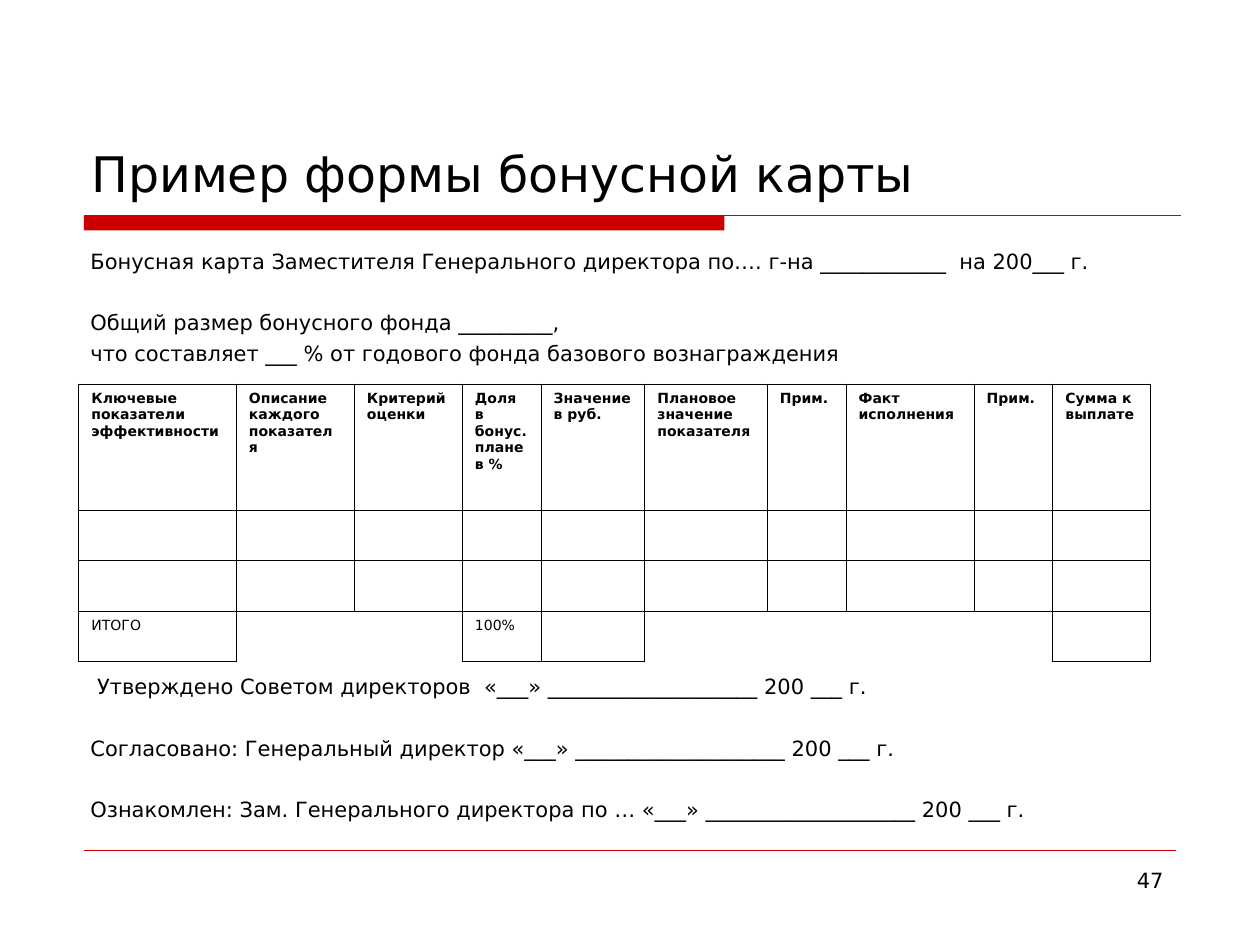
from pptx import Presentation
from pptx.dml.color import RGBColor
from pptx.enum.shapes import MSO_CONNECTOR, MSO_SHAPE
from pptx.enum.text import MSO_ANCHOR, MSO_AUTO_SIZE, PP_ALIGN
from pptx.oxml.ns import qn
from pptx.util import Pt
from lxml.etree import SubElement, Element

COLORS = {"red": "CC0000", "black": "000000", "white": "FFFFFF"}
FONT = "DejaVu Sans"
LINE_GAP = 3.3
BLANK_GAP = 20.6

INTRO = [
    ("Бонусная карта Заместителя Генерального директора по…. г-на ____________  на 200___ г.", 0),
    ("Общий размер бонусного фонда _________,", BLANK_GAP),
    ("что составляет ___ % от годового фонда базового вознаграждения", LINE_GAP),
]
SIGNATURES = [
    (" Утверждено Советом директоров  «___» ____________________ 200 ___ г.", 0),
    ("Согласовано: Генеральный директор «___» ____________________ 200 ___ г.", BLANK_GAP),
    ("Ознакомлен: Зам. Генерального директора по … «___» ____________________ 200 ___ г.", BLANK_GAP),
]
COLUMNS = [
    ("Ключевые показатели эффективности", 90),
    ("Описание\nкаждого показателя", 67.5),
    ("Критерий оценки", 61.7),
    ("Доля\nв бонус. плане\nв %", 45),
    ("Значение\nв руб.", 59.3),
    ("Плановое значение показателя", 70),
    ("Прим.", 45),
    ("Факт исполнения", 73.2),
    ("Прим.", 45),
    ("Сумма к выплате", 56),
]
ROW_HEIGHTS = [72, 28.5, 28.5, 28]
TOTALS = {0: "ИТОГО", 3: "100%"}
OPEN_SPANS = [(1, 2), (5, 8)]


def rgb(name):
    return RGBColor.from_string(COLORS[name])


def format_text(tf, size, bold=False):
    for p in tf.paragraphs:
        for r in p.runs:
            r.font.name = FONT
            r.font.size = Pt(size)
            r.font.bold = bold
            r.font.color.rgb = rgb("black")


def add_rule(s, x1, x2, y, width):
    line = s.shapes.add_connector(MSO_CONNECTOR.STRAIGHT, Pt(x1), Pt(y), Pt(x2), Pt(y))
    line.line.color.rgb = rgb("red")
    line.line.width = Pt(width)
    SubElement(line._element.spPr, qn("a:effectLst"))


def add_title(s, x, y, w, h):
    sp = s.shapes.title
    sp.left, sp.top, sp.width, sp.height = Pt(x), Pt(y), Pt(w), Pt(h)
    tf = sp.text_frame
    tf.text = "Пример формы бонусной карты"
    tf.auto_size = MSO_AUTO_SIZE.NONE
    tf.vertical_anchor = MSO_ANCHOR.BOTTOM
    tf.paragraphs[0].alignment = PP_ALIGN.LEFT
    format_text(tf, 28)

    rule_x, rule_y = x + 3, y + h + 3.6
    bar = s.shapes.add_shape(MSO_SHAPE.RECTANGLE, Pt(rule_x), Pt(rule_y), Pt(366), Pt(8.6))
    bar.shadow.inherit = False
    bar.fill.solid()
    bar.fill.fore_color.rgb = rgb("red")
    bar.line.fill.background()
    add_rule(s, rule_x, x + w, rule_y, 0.75)


def add_lines(s, x, y, w, h, lines, align=PP_ALIGN.LEFT):
    tf = s.shapes.add_textbox(Pt(x), Pt(y), Pt(w), Pt(h)).text_frame
    tf.word_wrap = True
    tf.text = "\n".join(text for text, _ in lines)
    for p, (_, gap) in zip(tf.paragraphs, lines):
        p.alignment = align
        p.space_before = Pt(gap)
    format_text(tf, 12)


def set_borders(cell, hidden):
    tcPr = cell._tc.get_or_add_tcPr()
    for i, side in enumerate(("lnL", "lnR", "lnT", "lnB")):
        ln = Element(qn("a:" + side), w=str(Pt(0.45)))
        if side in hidden:
            SubElement(ln, qn("a:noFill"))
        else:
            fill = SubElement(ln, qn("a:solidFill"))
            SubElement(fill, qn("a:srgbClr"), val=COLORS["black"])
        tcPr.insert(i, ln)


def hidden_sides(row, col):
    hidden = set()
    if row == len(ROW_HEIGHTS) - 1:
        for first, last in OPEN_SPANS:
            if first <= col <= last:
                hidden.add("lnB")
                if col > first:
                    hidden.add("lnL")
                if col < last:
                    hidden.add("lnR")
    return hidden


def add_bonus_table(s, x, y):
    widths = [width for _, width in COLUMNS]
    table = s.shapes.add_table(len(ROW_HEIGHTS), len(COLUMNS), Pt(x), Pt(y),
                               Pt(sum(widths)), Pt(sum(ROW_HEIGHTS))).table
    table.first_row = False
    table.horz_banding = False
    for column, width in zip(table.columns, widths):
        column.width = Pt(width)
    for row, height in zip(table.rows, ROW_HEIGHTS):
        row.height = Pt(height)

    texts = {(0, c): text for c, (text, _) in enumerate(COLUMNS)}
    texts.update({(len(ROW_HEIGHTS) - 1, c): text for c, text in TOTALS.items()})
    for r in range(len(ROW_HEIGHTS)):
        for c in range(len(COLUMNS)):
            cell = table.cell(r, c)
            cell.fill.solid()
            cell.fill.fore_color.rgb = rgb("white")
            set_borders(cell, hidden_sides(r, c))
            if (r, c) in texts:
                cell.text_frame.text = texts[r, c]
                format_text(cell.text_frame, 8, bold=r == 0)


def add_footer(s, x, y, w):
    add_rule(s, x, x + w, y, 0.25)
    add_lines(s, x + w - 156, y + 6, 156, 37, [("47", 0)], PP_ALIGN.RIGHT)


def main():
    prs = Presentation()
    prs.slide_width, prs.slide_height = Pt(720), Pt(540)
    s = prs.slides.add_slide(prs.slide_layouts[5])
    add_title(s, 45, 24, 630, 95.5)
    add_lines(s, 44.6, 138.2, 631, 76, INTRO)
    add_bonus_table(s, 45, 219.6)
    add_lines(s, 44.6, 381.6, 631, 93, SIGNATURES)
    add_footer(s, 48, 486, 624)
    prs.save("out.pptx")


if __name__ == "__main__":
    main()
